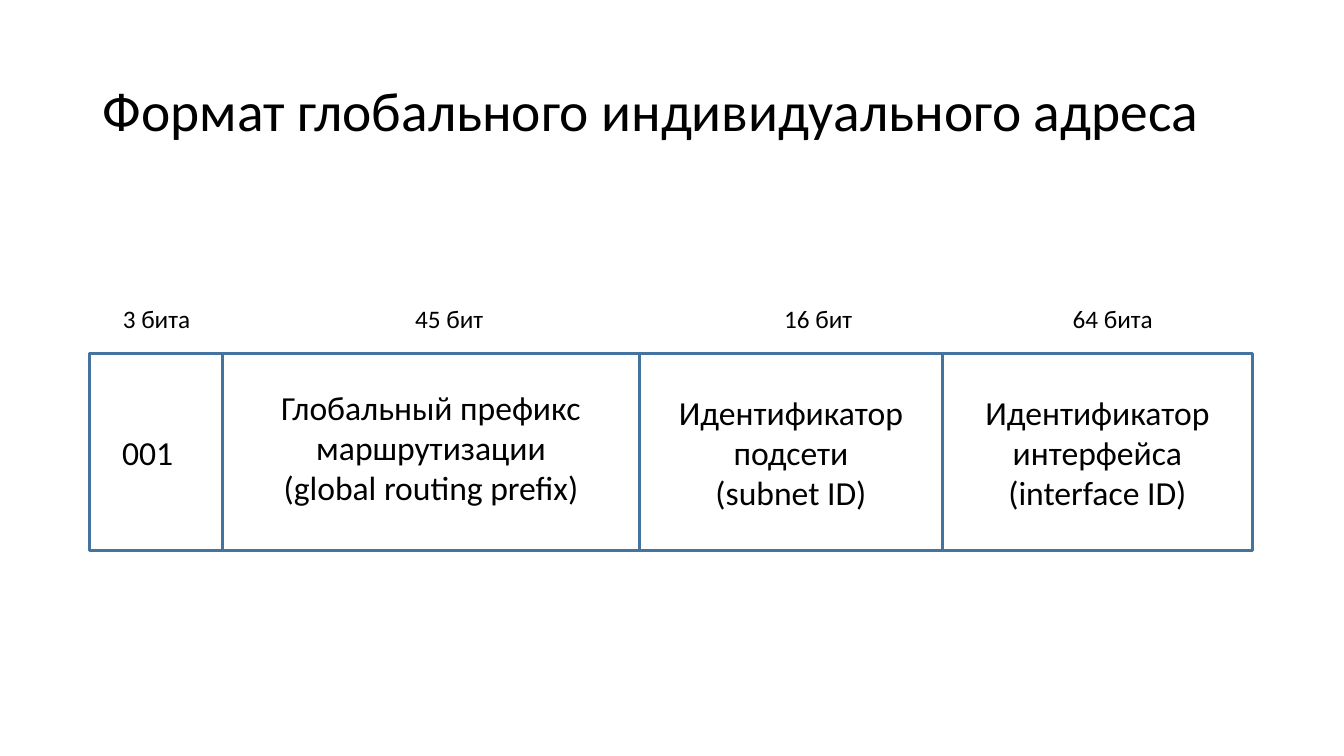
from dataclasses import dataclass
from typing import Any

from pptx import Presentation
from pptx.dml.color import RGBColor
from pptx.enum.shapes import MSO_SHAPE
from pptx.enum.text import MSO_ANCHOR, MSO_AUTO_SIZE, PP_ALIGN
from pptx.shapes.autoshape import Shape
from pptx.slide import Slide
from pptx.util import Inches, Pt

RECTANGLE = MSO_SHAPE.RECTANGLE
MIDDLE = MSO_ANCHOR.MIDDLE
TOP = MSO_ANCHOR.TOP
FIT_SHAPE = MSO_AUTO_SIZE.SHAPE_TO_FIT_TEXT
CENTER = PP_ALIGN.CENTER
LEFT = PP_ALIGN.LEFT

BLACK = RGBColor(0x00, 0x00, 0x00)
WHITE = RGBColor(0xFF, 0xFF, 0xFF)
BLUE = RGBColor(0x43, 0x73, 0x9E)

FONT_NAME = "Calibri"
FIELD_TOP, FIELD_HEIGHT = 3.51, 1.95
CAPTION_TOP, CAPTION_HEIGHT = 2.96, 0.4
ADDRESS_RIGHT = 12.42


@dataclass(frozen=True)
class AddressField:
    left: float
    lines: tuple[str, ...]
    caption: str
    caption_left: float
    caption_width: float = 0.9
    right_inset: float = 0.1
    bottom_inset: float = 0.05


ADDRESS_FIELDS = (
    AddressField(0.89, ("001",), "3 бита", 1.12, right_inset=0.27),
    AddressField(2.21, ("Глобальный префикс маршрутизации", "(global routing prefix)"),
                 "45 бит", 4.02, bottom_inset=0.15),
    AddressField(6.34, ("Идентификатор подсети", "(subnet ID)"), "16 бит", 7.68),
    AddressField(9.35, ("Идентификатор интерфейса", "(interface ID)"),
                 "64 бита", 10.54, caption_width=1.02),
)


def set_attributes(target: Any, values: dict[str, Any]) -> None:
    for name, value in values.items():
        setattr(target, name, value)


def write_lines(shape: Shape, lines: tuple[str, ...], size: float,
                alignment: PP_ALIGN, frame_format: dict[str, Any],
                line_spacing: float = 1.0) -> None:
    text_frame = shape.text_frame
    text_frame.text = "\n".join(lines)
    set_attributes(text_frame, frame_format)
    for paragraph in text_frame.paragraphs:
        set_attributes(paragraph, {"alignment": alignment, "line_spacing": line_spacing})
        set_attributes(paragraph.runs[0].font, {"name": FONT_NAME, "size": Pt(size)})
        paragraph.runs[0].font.color.rgb = BLACK


def add_title(slide: Slide, text: str) -> None:
    title = slide.shapes.add_textbox(Inches(0.92), Inches(0.4), Inches(11.5), Inches(1.45))
    write_lines(title, (text,), 39.6, LEFT,
                {"word_wrap": True, "vertical_anchor": MIDDLE}, line_spacing=0.9)


def add_field(slide: Slide, field: AddressField, right: float) -> None:
    box = slide.shapes.add_shape(RECTANGLE, Inches(field.left), Inches(FIELD_TOP),
                                 Inches(right - field.left), Inches(FIELD_HEIGHT))
    box.shadow.inherit = False
    box.fill.solid()
    box.fill.fore_color.rgb = WHITE
    box.line.color.rgb = BLUE
    box.line.width = Pt(2.25)
    write_lines(box, field.lines, 24, CENTER, {
        "word_wrap": True,
        "vertical_anchor": MIDDLE,
        "margin_right": Inches(field.right_inset),
        "margin_bottom": Inches(field.bottom_inset),
    })


def add_caption(slide: Slide, field: AddressField) -> None:
    caption = slide.shapes.add_textbox(Inches(field.caption_left), Inches(CAPTION_TOP),
                                       Inches(field.caption_width), Inches(CAPTION_HEIGHT))
    write_lines(caption, (field.caption,), 18, LEFT,
                {"word_wrap": False, "auto_size": FIT_SHAPE, "vertical_anchor": TOP})


def main() -> None:
    presentation = Presentation()
    set_attributes(presentation, {"slide_width": Inches(13.33), "slide_height": Inches(7.5)})
    slide = presentation.slides.add_slide(presentation.slide_layouts[6])
    add_title(slide, "Формат глобального индивидуального адреса")
    right_edges = [field.left for field in ADDRESS_FIELDS[1:]] + [ADDRESS_RIGHT]
    for field, right in zip(ADDRESS_FIELDS, right_edges):
        add_field(slide, field, right)
        add_caption(slide, field)
    presentation.save("out.pptx")


if __name__ == "__main__":
    main()
